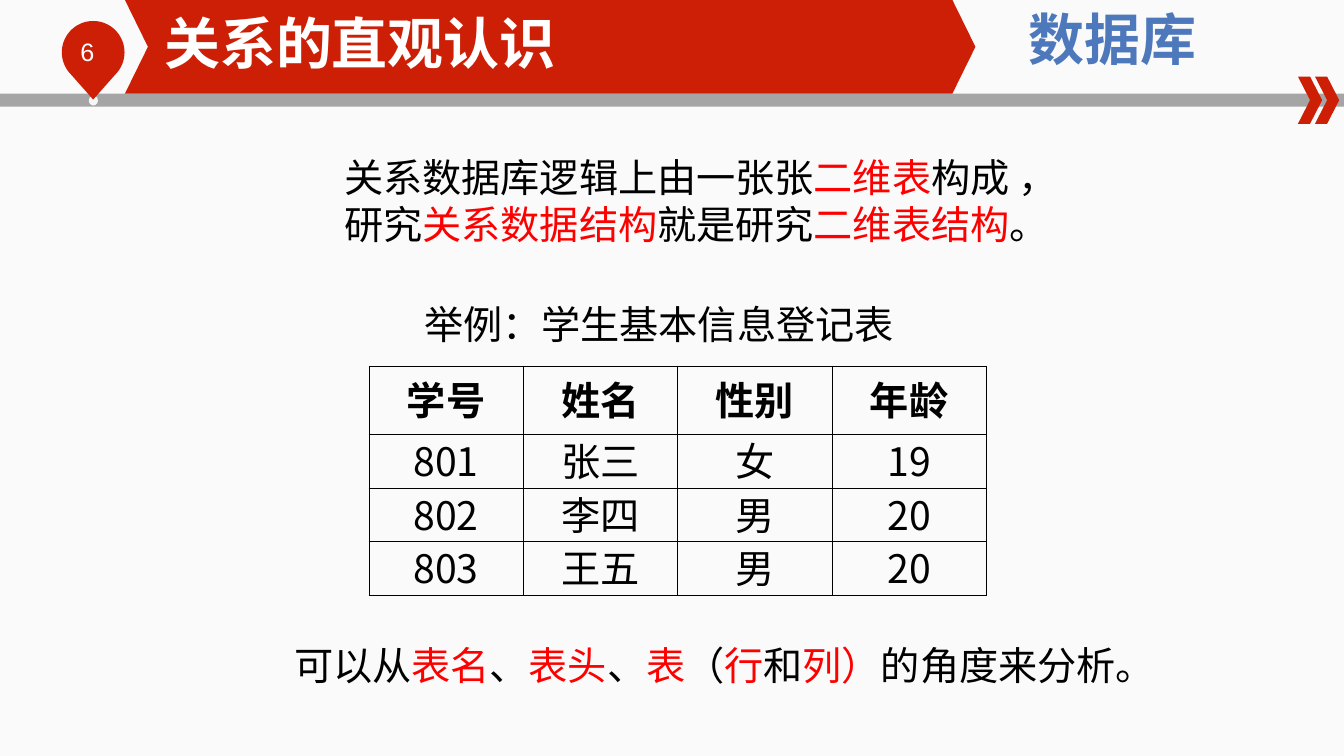
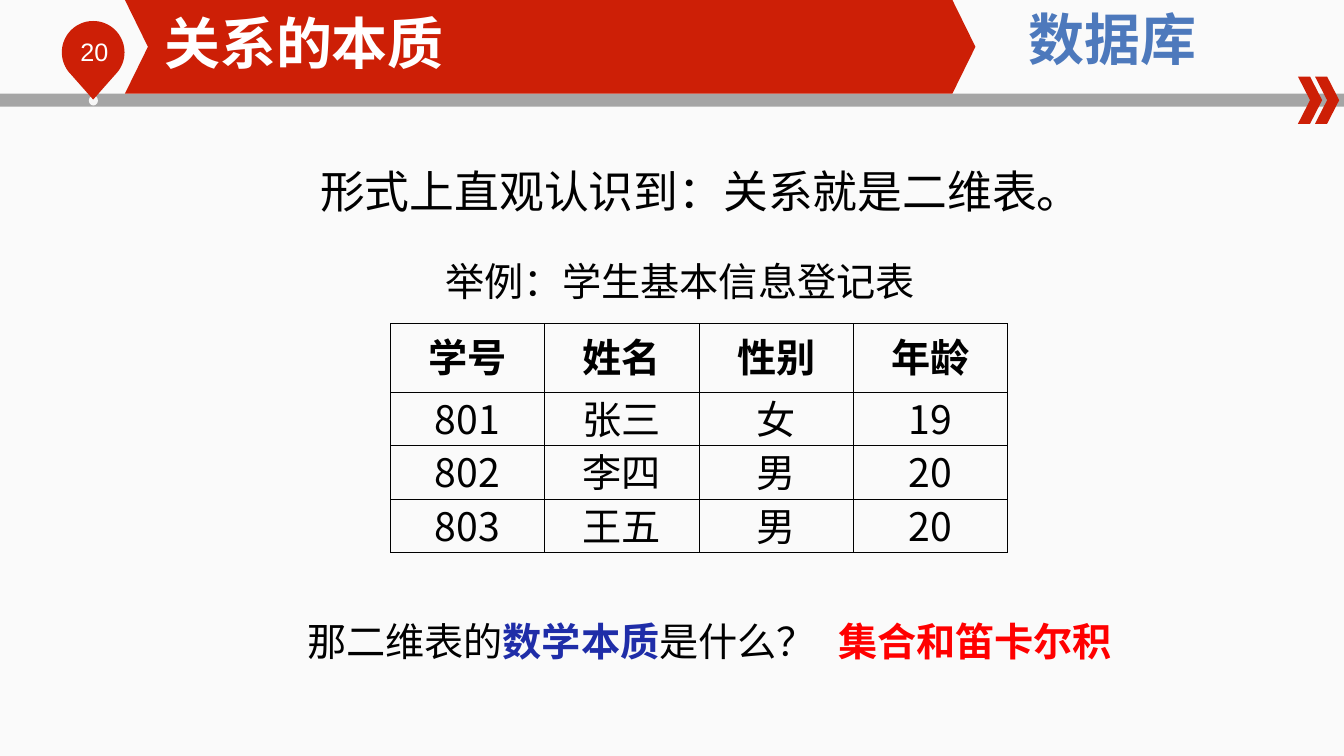
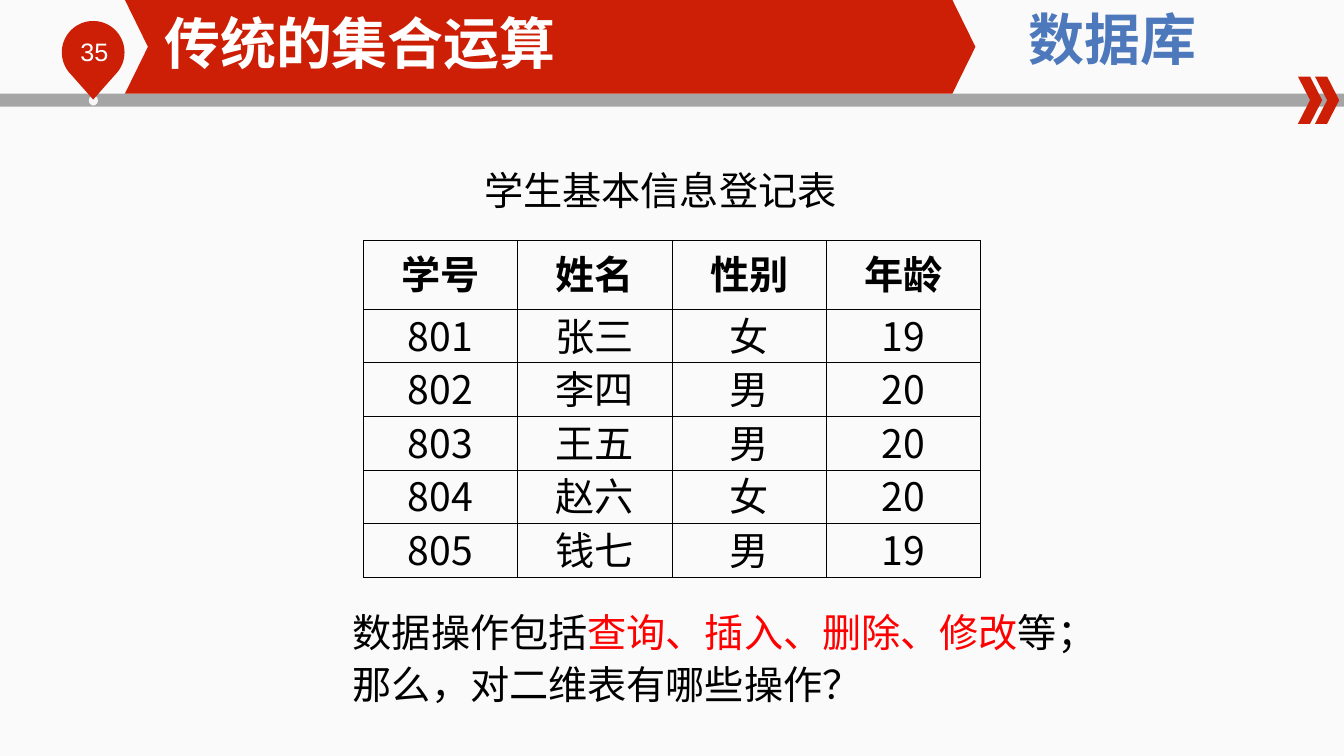
"""Build three slides on relations, two-dimensional tables and set operations."""
import math
from dataclasses import dataclass
from typing import Any, Optional

import pptx
import pptx.dml.color
import pptx.enum.shapes
import pptx.enum.text
import pptx.oxml.ns
import pptx.util
from lxml import etree

Cm = pptx.util.Cm
Pt = pptx.util.Pt
Preset = pptx.enum.shapes.MSO_SHAPE
Align = pptx.enum.text.PP_ALIGN
Anchor = pptx.enum.text.MSO_ANCHOR
qn = pptx.oxml.ns.qn

COLORS = {
    "red": "CD1F06",
    "grey": "A5A5A5",
    "dot": "F6F6F6",
    "white": "FFFFFF",
    "black": "000000",
    "accent": "FF0000",
    "navy": "1F2DA8",
    "course": "4D79BC",
    "top": "FAFAFA",
    "bottom": "FCFCFC",
}
CJK = "Noto Sans CJK SC"
LINE_PITCH = 37
HEADINGS = ("学号", "姓名", "性别", "年龄")
STUDENTS = (
    ("801", "张三", "女", "19"),
    ("802", "李四", "男", "20"),
    ("803", "王五", "男", "20"),
    ("804", "赵六", "女", "20"),
    ("805", "钱七", "男", "19"),
)
COLUMN_WIDTH, HEADING_HEIGHT, ROW_HEIGHT = 3.89, 1.73, 1.35


@dataclass(frozen=True)
class Box:
    left: float
    top: float
    width: float
    height: float

    def lengths(self) -> tuple[int, ...]:
        return tuple(Cm(v) for v in (self.left, self.top, self.width, self.height))


@dataclass(frozen=True)
class Span:
    text: str
    color: str = "black"
    bold: bool = False


@dataclass(frozen=True)
class Note:
    box: Box
    lines: tuple[tuple[Span, ...], ...]
    size: float = 28
    font: str = "Arial"
    indent: float = 0
    spacing: Optional[float] = None
    align: Any = Align.LEFT


@dataclass(frozen=True)
class Lesson:
    number: int
    title: str
    table_left: float
    table_top: float
    student_count: int
    conclusion: Note
    notes: tuple[Note, ...]


def rgb(name: str) -> Any:
    return pptx.dml.color.RGBColor.from_string(COLORS[name])


def style_run(run: Any, size: float, font: str, color: str, bold: bool) -> None:
    run.font.size = Pt(size)
    run.font.bold = bold
    run.font.color.rgb = rgb(color)
    run.font.name = font
    etree.SubElement(run.font._element, qn("a:ea"), typeface=CJK)


def write_note(shape: Any, note: Note) -> None:
    shape.left, shape.top, shape.width, shape.height = note.box.lengths()
    frame = shape.text_frame
    frame.word_wrap = True
    frame.auto_size = pptx.enum.text.MSO_AUTO_SIZE.NONE
    for index, spans in enumerate(note.lines):
        paragraph = frame.add_paragraph() if index else frame.paragraphs[0]
        properties = paragraph._p.get_or_add_pPr()
        properties.set("marL", str(Cm(note.indent)))
        properties.set("indent", "0")
        etree.SubElement(properties, qn("a:buNone"))
        paragraph.alignment = note.align
        paragraph.space_before = Pt(0)
        if note.spacing:
            paragraph.line_spacing = Pt(note.spacing)
        for span in spans:
            run = paragraph.add_run()
            run.text = span.text
            style_run(run, note.size, note.font, span.color, span.bold)


def add_note(slide: Any, note: Note) -> Any:
    shape = slide.shapes.add_textbox(*note.box.lengths())
    write_note(shape, note)
    return shape


def paint(shape: Any, color: str) -> Any:
    shape.shadow.inherit = False
    shape.fill.solid()
    shape.fill.fore_color.rgb = rgb(color)
    shape.line.fill.background()
    return shape


def add_preset(slide: Any, preset: Any, box: Box, color: str, point: Optional[float] = None) -> Any:
    shape = paint(slide.shapes.add_shape(preset, *box.lengths()), color)
    if point is not None:
        shape.adjustments[0] = point
    return shape


def add_pin(slide: Any) -> Any:
    center_x, center_y, radius, tip = 2.35, 1.32, 0.79, 2.51
    angles = [math.radians(135 + 270 * step / 60) for step in range(61)]
    outline = [
        (Cm(center_x + radius * math.cos(angle)), Cm(center_y + radius * math.sin(angle)))
        for angle in angles
    ]
    builder = slide.shapes.build_freeform(Cm(center_x), Cm(tip))
    builder.add_line_segments(outline, close=True)
    return paint(builder.convert_to_shape(), "red")


def install_header(slide: Any) -> None:
    layout = slide.slide_layout
    for footer in [p for p in layout.placeholders if p.placeholder_format.idx >= 10]:
        layout.shapes.element.remove(footer.element)
    course = Note(Box(24.59, 0, 6.91, 1.96), ((Span("数据库", "course", True),),),
                  40, CJK, align=Align.CENTER)
    parts = [
        add_preset(slide, Preset.RECTANGLE, Box(0, 2.36, 33.88, 0.33), "grey"),
        add_preset(slide, Preset.OVAL, Box(2.24, 2.41, 0.23, 0.25), "dot"),
        add_pin(slide),
        *(add_preset(slide, Preset.CHEVRON, Box(left, 1.93, 0.61, 1.19), "red", 0.5)
          for left in (32.72, 33.15)),
        add_preset(slide, Preset.CHEVRON, Box(3.15, 0, 21.44, 2.36), "red", 0.246),
        add_note(slide, course),
    ]
    for part in parts:
        layout.shapes.element.append(part.element)


def set_background(master: Any) -> None:
    fill = master.background.fill
    fill.gradient()
    fill.gradient_angle = 270
    for stop, color in zip(fill.gradient_stops, ("top", "bottom")):
        stop.color.rgb = rgb(color)


def format_cell(cell: Any, heading: bool) -> None:
    cell.fill.background()
    cell.vertical_anchor = Anchor.MIDDLE
    cell.margin_left = cell.margin_right = cell.margin_top = Cm(0.03)
    cell.margin_bottom = Cm(0.13 if heading else 0)
    properties = cell._tc.get_or_add_tcPr()
    for position, side in enumerate(("lnL", "lnR", "lnT", "lnB")):
        border = etree.Element(qn(f"a:{side}"), w=str(Pt(0.5)))
        solid = etree.SubElement(border, qn("a:solidFill"))
        etree.SubElement(solid, qn("a:srgbClr"), val=COLORS["black"])
        properties.insert(position, border)
    paragraph = cell.text_frame.paragraphs[0]
    paragraph.alignment = Align.CENTER
    if not heading:
        paragraph.line_spacing = Pt(LINE_PITCH)
    font = CJK if cell.text.isdigit() else "Arial"
    style_run(paragraph.runs[0], 28, font, "black", heading)


def add_register(slide: Any, lesson: Lesson) -> None:
    records = (HEADINGS, *STUDENTS[:lesson.student_count])
    box = Box(lesson.table_left, lesson.table_top, COLUMN_WIDTH * len(HEADINGS),
              HEADING_HEIGHT + ROW_HEIGHT * lesson.student_count)
    register = slide.shapes.add_table(len(records), len(HEADINGS), *box.lengths()).table
    register.first_row = register.horz_banding = False
    for column in register.columns:
        column.width = Cm(COLUMN_WIDTH)
    for row_index, record in enumerate(records):
        register.rows[row_index].height = Cm(ROW_HEIGHT if row_index else HEADING_HEIGHT)
        for column_index, value in enumerate(record):
            cell = register.cell(row_index, column_index)
            cell.text = value
            format_cell(cell, row_index == 0)


def fill_slide(slide: Any, lesson: Lesson) -> None:
    title = slide.shapes.title
    write_note(title, Note(Box(4.14, 0.2, 16.79, 1.7),
                           ((Span(lesson.title, "white", True),),), 40))
    frame = title.text_frame
    frame.vertical_anchor = Anchor.MIDDLE
    frame.margin_left = frame.margin_right = frame.margin_top = frame.margin_bottom = 0
    write_note(slide.placeholders[1], lesson.conclusion)
    add_note(slide, Note(Box(1.78, 0.8, 1.93, 1.02),
                         ((Span(str(lesson.number), "white"),),), 18))
    add_register(slide, lesson)
    for note in lesson.notes:
        add_note(slide, note)


def caption(left: float, top: float, text: str) -> Note:
    return Note(Box(left, top, 13.79, 1.57), ((Span(text),),), font=CJK, spacing=LINE_PITCH)


LESSONS = (
    Lesson(
        6, "关系的直观认识", 9.3, 9.22, 3,
        Note(Box(6.07, 16.03, 23.39, 1.5), ((
            Span("可以从"), Span("表名", "accent"), Span("、"), Span("表头", "accent"),
            Span("、"), Span("表", "accent"), Span("（"), Span("行", "accent"),
            Span("和"), Span("列）", "accent"), Span("的角度来分析。"),
        ),), font="Karla", indent=1.09),
        (
            caption(10.44, 7.32, "举例：学生基本信息登记表"),
            Note(Box(7.34, 3.73, 19.61, 2.64), (
                (Span("关系数据库逻辑上由一张张"), Span("二维表", "accent"), Span("构成 ，")),
                (Span("研究"), Span("关系数据结构", "accent"), Span("就是研究"),
                 Span("二维表结构", "accent"), Span("。")),
            ), indent=1.09),
        ),
    ),
    Lesson(
        20, "关系的本质", 9.84, 8.15, 3,
        Note(Box(6.4, 15.42, 23.39, 1.45), ((
            Span("那二维表的"), Span("数学本质", "navy", True), Span("是什么？"),
        ),), font="Karla", indent=1.09),
        (
            caption(10.97, 6.25, "举例：学生基本信息登记表"),
            Note(Box(6.73, 4.01, 21.5, 1.63),
                 ((Span("形式上直观认识到：关系就是二维表。"),),), 32, indent=1.09),
            Note(Box(20.88, 15.42, 7.7, 1.45),
                 ((Span("集合和笛卡尔积", "accent", True),),), font=CJK),
        ),
    ),
    Lesson(
        35, "传统的集合运算", 9.16, 6.06, 5,
        Note(Box(8.64, 15.09, 19.46, 2.9), (
            (Span("数据操作包括"), Span("查询、插入、删除、修改", "accent"), Span("等；")),
            (Span("那么，对二维表有哪些操作？"),),
        ), spacing=LINE_PITCH),
        (caption(11.96, 3.94, "学生基本信息登记表"),),
    ),
)


def main() -> None:
    deck = pptx.Presentation()
    deck.slide_width, deck.slide_height = Cm(33.88), Cm(19.05)
    set_background(deck.slide_master)
    slides = [deck.slides.add_slide(deck.slide_layouts[1]) for _ in LESSONS]
    install_header(slides[0])
    for slide, lesson in zip(slides, LESSONS):
        fill_slide(slide, lesson)
    deck.save("out.pptx")


if __name__ == "__main__":
    main()
